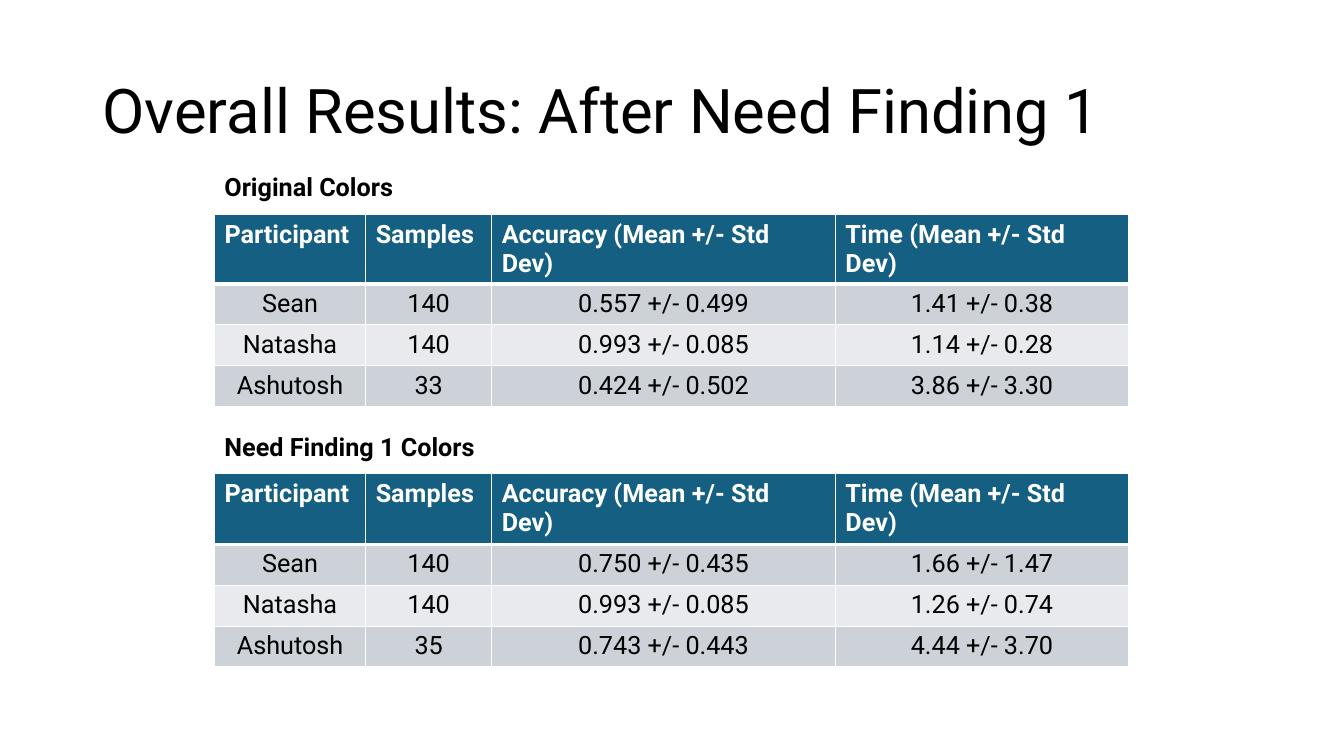
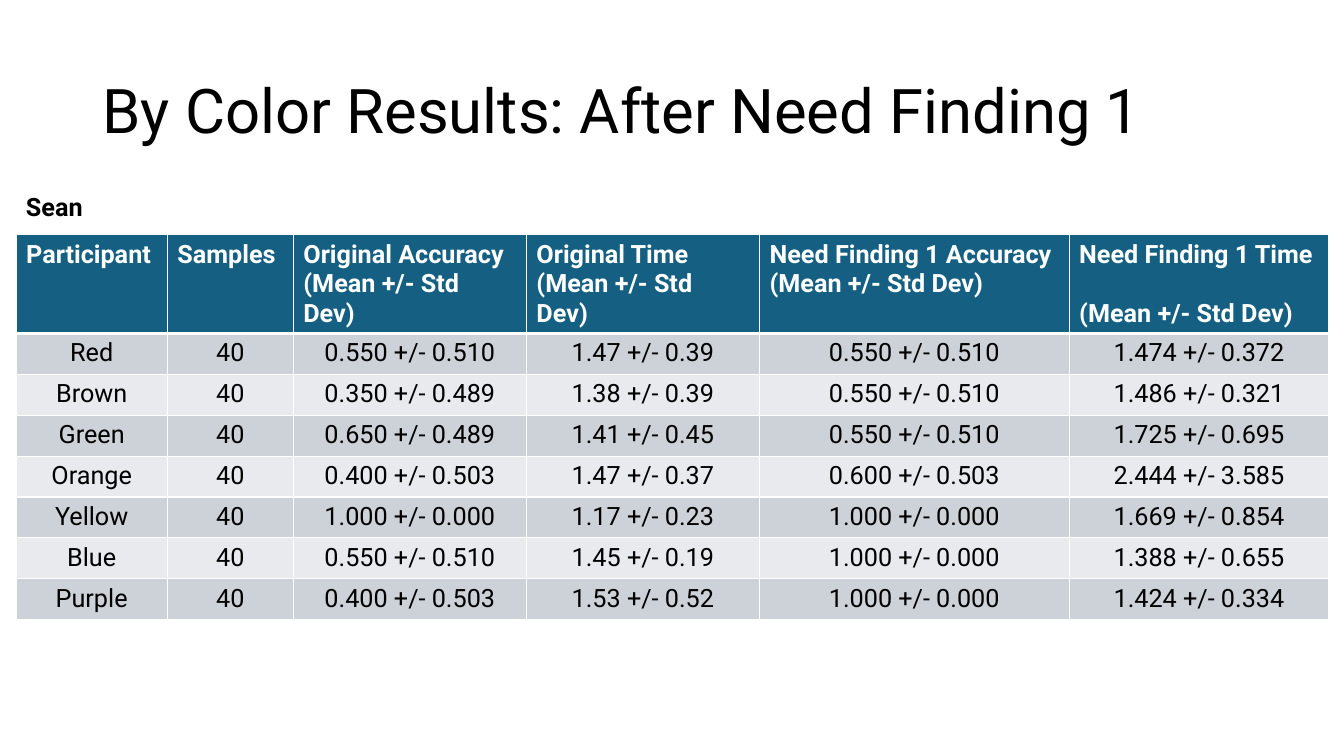
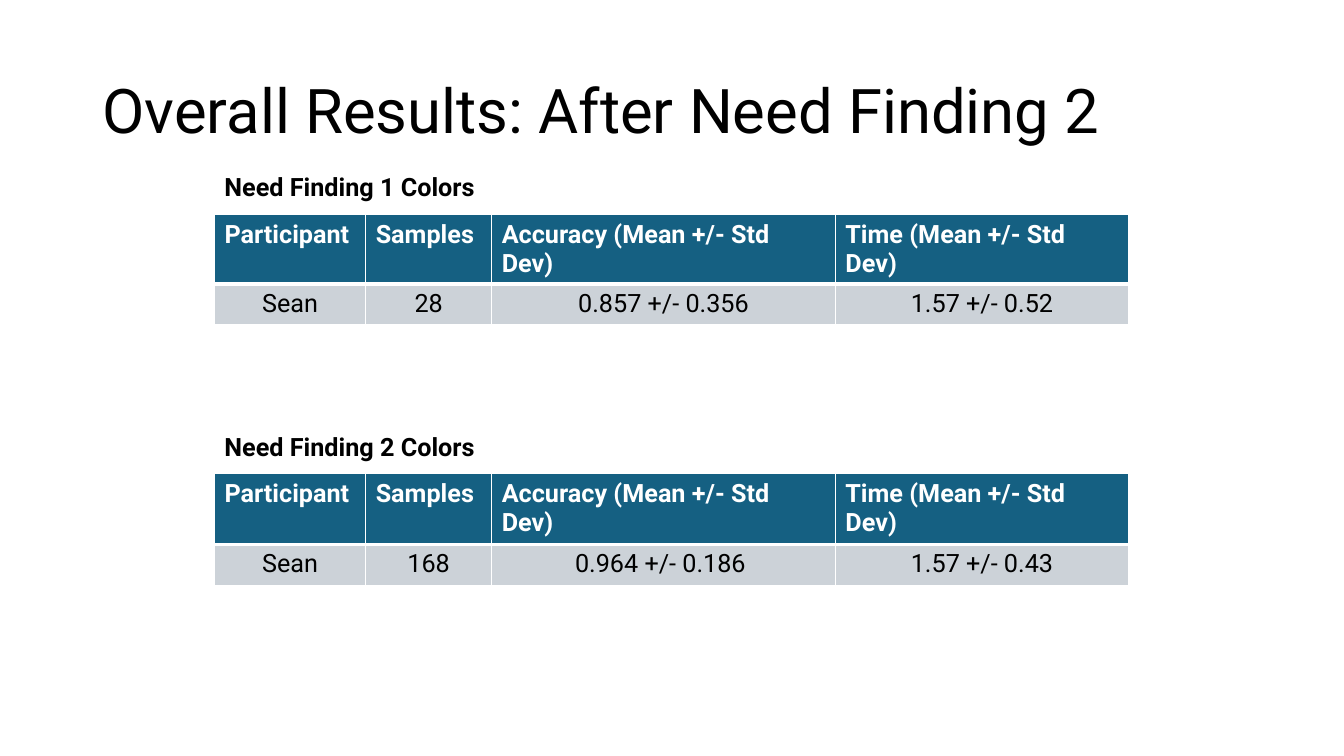
import pptx
import pptx.dml.color
import pptx.enum.text
import pptx.oxml
import pptx.oxml.ns
import pptx.util

Pt = pptx.util.Pt
PP_ALIGN = pptx.enum.text.PP_ALIGN
MSO_ANCHOR = pptx.enum.text.MSO_ANCHOR
MSO_AUTO_SIZE = pptx.enum.text.MSO_AUTO_SIZE

FONT = "Roboto"
BLACK, WHITE, HEADER = "000000", "FFFFFF", "156082"
BANDS = ["CCD2D8", "E8EAED"]
ROW_HEIGHT = 29.2
LABEL_RISE = 34.2  # from the top of a label to the top of its table


def style(p, size, color, bold=False, align=PP_ALIGN.LEFT):
    """Set font and alignment of a whole paragraph."""
    p.alignment = align
    p.font.name = FONT
    p.font.size = Pt(size)
    p.font.bold = bold
    p.font.color.rgb = pptx.dml.color.RGBColor.from_string(color)


def add_borders(cell, bottom):
    """Draw white cell borders, 1 pt except for the bottom one."""
    for side, width in (("L", 1), ("R", 1), ("T", 1), ("B", bottom)):
        cell._tc.get_or_add_tcPr().append(pptx.oxml.parse_xml(
            f'<a:ln{side} {pptx.oxml.ns.nsdecls("a")} w="{Pt(width)}">'
            f'<a:solidFill><a:srgbClr val="{WHITE}"/></a:solidFill></a:ln{side}>'))


overall = {
    "left": 153.2, "tops": [153.4, 338.4], "header_height": 26.6,
    "widths": [108, 90, 245.5, 209.5],
    "header": ["Participant", "Samples", "Accuracy (Mean +/- Std Dev)", "Time (Mean +/- Std Dev)"],
}
by_color = {
    "left": 11.5, "tops": [167.6], "header_height": 15,
    "widths": [108, 90, 166.5, 166.5, 221.2, 185.6],
    "header": ["Participant", "Samples",
               "Original Accuracy \n(Mean +/- Std Dev)",
               "Original Time \n(Mean +/- Std Dev)",
               "Need Finding 1 Accuracy \n(Mean +/- Std Dev)",
               "Need Finding 1 Time \n(Mean +/- Std Dev)"],
}

# Title, table layout, then (label, label width, rows) for each table
slides = [
    ("Overall Results: After Need Finding 1", overall, [
        ("Original Colors", 138, [
            ["Sean", "140", "0.557 +/- 0.499", "1.41 +/- 0.38"],
            ["Natasha", "140", "0.993 +/- 0.085", "1.14 +/- 0.28"],
            ["Ashutosh", "33", "0.424 +/- 0.502", "3.86 +/- 3.30"],
        ]),
        ("Need Finding 1 Colors", 194.4, [
            ["Sean", "140", "0.750 +/- 0.435", "1.66 +/- 1.47"],
            ["Natasha", "140", "0.993 +/- 0.085", "1.26 +/- 0.74"],
            ["Ashutosh", "35", "0.743 +/- 0.443", "4.44 +/- 3.70"],
        ]),
    ]),
    ("By Color Results: After Need Finding 1", by_color, [
        ("Sean", 56, [
            ["Red", "40", "0.550 +/- 0.510", "1.47 +/- 0.39", "0.550 +/- 0.510", "1.474 +/- 0.372"],
            ["Brown", "40", "0.350 +/- 0.489", "1.38 +/- 0.39", "0.550 +/- 0.510", "1.486 +/- 0.321"],
            ["Green", "40", "0.650 +/- 0.489", "1.41 +/- 0.45", "0.550 +/- 0.510", "1.725 +/- 0.695"],
            ["Orange", "40", "0.400 +/- 0.503", "1.47 +/- 0.37", "0.600 +/- 0.503", "2.444 +/- 3.585"],
            ["Yellow", "40", "1.000 +/- 0.000", "1.17 +/- 0.23", "1.000 +/- 0.000", "1.669 +/- 0.854"],
            ["Blue", "40", "0.550 +/- 0.510", "1.45 +/- 0.19", "1.000 +/- 0.000", "1.388 +/- 0.655"],
            ["Purple", "40", "0.400 +/- 0.503", "1.53 +/- 0.52", "1.000 +/- 0.000", "1.424 +/- 0.334"],
        ]),
    ]),
    ("Overall Results: After Need Finding 2", overall, [
        ("Need Finding 1 Colors", 194.4, [["Sean", "28", "0.857 +/- 0.356", "1.57 +/- 0.52"]]),
        ("Need Finding 2 Colors", 194.4, [["Sean", "168", "0.964 +/- 0.186 ", "1.57 +/- 0.43"]]),
    ]),
]

prs = pptx.Presentation()
prs.slide_width, prs.slide_height = Pt(960), Pt(540)

for title, layout, tables in slides:
    s = prs.slides.add_slide(prs.slide_layouts[5])
    sp = s.shapes.title
    sp.left, sp.top, sp.width, sp.height = Pt(66), Pt(28.8), Pt(828), Pt(104.4)
    tf = sp.text_frame
    tf.text = title
    tf.vertical_anchor = MSO_ANCHOR.MIDDLE
    p = tf.paragraphs[0]
    p.line_spacing = 0.9
    style(p, 44, BLACK)

    left, widths = layout["left"], layout["widths"]
    for top, (label, label_width, rows) in zip(layout["tops"], tables):
        heights = [layout["header_height"]] + [ROW_HEIGHT] * len(rows)
        table = s.shapes.add_table(len(heights), len(widths), Pt(left), Pt(top),
                                   Pt(sum(widths)), Pt(sum(heights))).table
        for column, width in zip(table.columns, widths):
            column.width = Pt(width)
        for i, values in enumerate([layout["header"]] + rows):
            table.rows[i].height = Pt(heights[i])
            for j, value in enumerate(values):
                cell = table.cell(i, j)
                add_borders(cell, 1 if i else 3)
                cell.fill.solid()
                cell.fill.fore_color.rgb = pptx.dml.color.RGBColor.from_string(
                    BANDS[(i - 1) % 2] if i else HEADER)
                p = cell.text_frame.paragraphs[0]
                p.text = value
                if i:
                    style(p, 18, BLACK, align=PP_ALIGN.CENTER)
                else:
                    style(p, 18, WHITE, bold=True)

        sp = s.shapes.add_textbox(Pt(left), Pt(top - LABEL_RISE), Pt(label_width), Pt(28.8))
        tf = sp.text_frame
        tf.word_wrap = False
        tf.auto_size = MSO_AUTO_SIZE.SHAPE_TO_FIT_TEXT
        p = tf.paragraphs[0]
        p.text = label
        style(p, 18, BLACK, bold=True)

prs.save("out.pptx")
